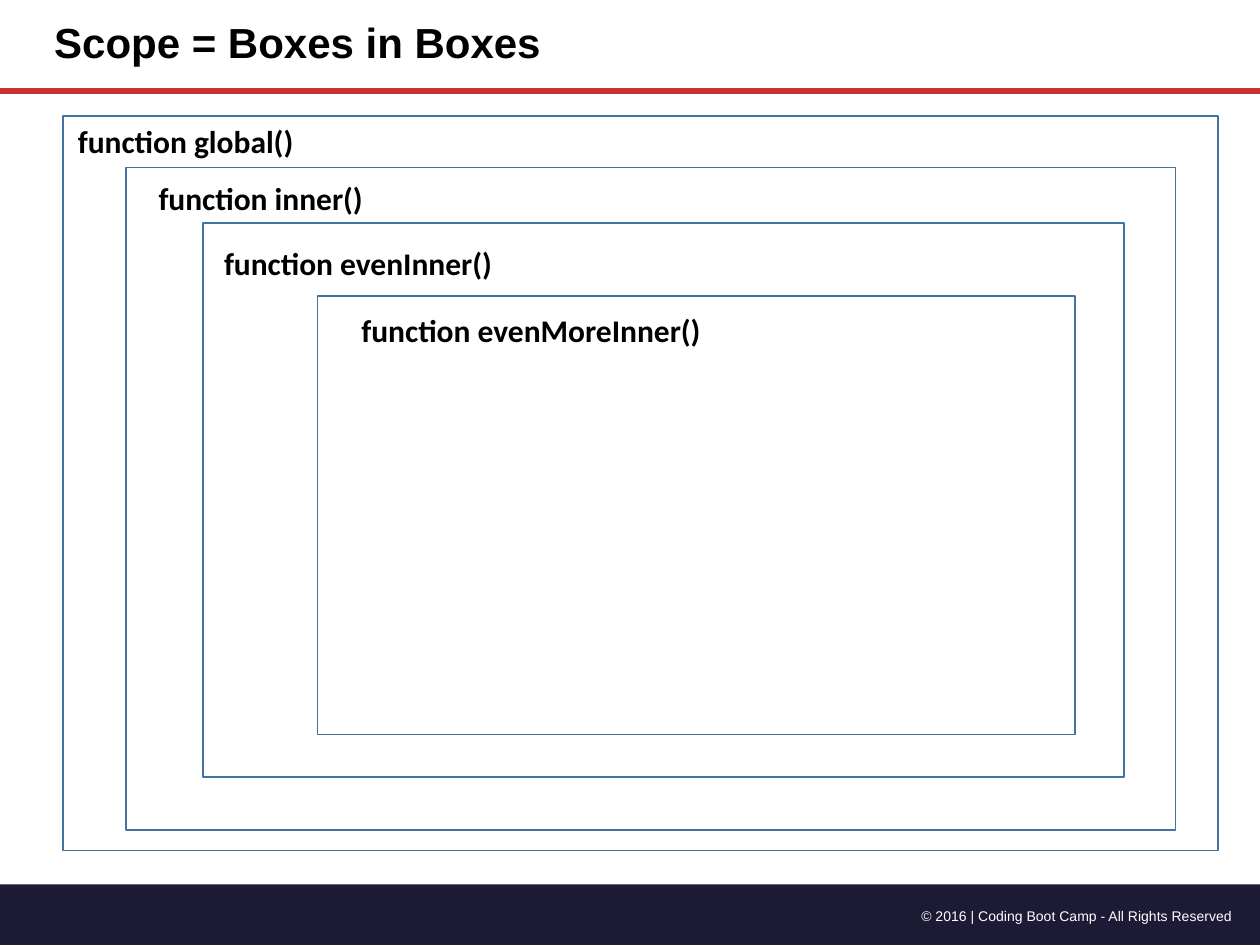
from lxml import etree
from pptx import Presentation
from pptx import util as u
from pptx.dml.color import RGBColor
from pptx.enum import shapes, text
from pptx.oxml import ns

WIDTH, HEIGHT = 10, 7.5
TITLE_BOX = (0.33, 0, 5.98, 0.72)
FOOTER_BOX = (0, 7.02, 10.01, 0.5)

# Each scope: its label, its box, and the label's offset within the box
SCOPES = [
    ("function global()", (0.5, 0.92, 9.17, 5.83), (0.02, 0)),
    ("function inner()", (1, 1.33, 8.33, 5.26), (0.16, 0.04)),
    ("function evenInner()", (1.61, 1.77, 7.31, 4.4), (0.07, 0.12)),
    ("function evenMoreInner()", (2.52, 2.35, 6.01, 3.48), (0.25, 0.07)),
]


def color(value):
    return RGBColor.from_string(value)


def inches(box):
    return [u.Inches(length) for length in box]


def write(shape, content, hex_color, alignment=text.PP_ALIGN.LEFT, **font_values):
    shape.text_frame.text = content
    paragraph = shape.text_frame.paragraphs[0]
    paragraph.alignment = alignment
    font = paragraph.runs[0].font
    for name, value in font_values.items():
        setattr(font, name, value)
    font.color.rgb = color(hex_color)
    return paragraph


def add_box(slide, box, fill, line=None):
    shape = slide.shapes.add_shape(shapes.MSO_SHAPE.RECTANGLE, *inches(box))
    shape.shadow.inherit = False
    shape.fill.solid()
    shape.fill.fore_color.rgb = color(fill)
    if line:
        shape.line.color.rgb = color(line)
        shape.line.width = u.Pt(1)
    else:
        shape.line.fill.background()


def add_header(slide, box):
    """Place the title in the box and a rule across the slide below it."""
    left, top, width, height = inches(box)
    title = slide.shapes.title
    placement = {"left": left, "top": top, "width": width, "height": height}
    for name, value in placement.items():
        setattr(title, name, value)
    paragraph = write(title, "Scope = Boxes in Boxes", "000000",
                      name="Arial", size=u.Pt(24), bold=True)
    paragraph.line_spacing = 0.9
    title.text_frame.vertical_anchor = text.MSO_ANCHOR.MIDDLE
    title.text_frame.auto_size = text.MSO_AUTO_SIZE.NONE

    bottom = top + height
    rule = slide.shapes.add_connector(
        shapes.MSO_CONNECTOR.STRAIGHT, 0, bottom, u.Inches(WIDTH), bottom)
    rule.line.color.rgb = color("C83232")
    rule.line.width = u.Pt(3.25)
    etree.SubElement(rule._element.spPr, ns.qn("a:effectLst"))


def add_footer(slide, box):
    left, top, width, height = box
    add_box(slide, box, "1D1A36")
    notice_box = (left + width - 3.18, top + 0.13, 3.05, 0.24)
    notice = slide.shapes.add_textbox(*inches(notice_box))
    notice.text_frame.word_wrap = True
    write(notice, "© 2016 | Coding Boot Camp - All Rights Reserved", "FFFFFF",
          text.PP_ALIGN.RIGHT, name="Arial", size=u.Pt(8))


def add_scope(slide, label, box, offset):
    left, top, width, _ = box
    add_box(slide, box, "FFFFFF", "43739E")
    label_box = (left + offset[0], top + offset[1], width / 2, 0.4)
    caption = slide.shapes.add_textbox(*inches(label_box))
    caption.text_frame.word_wrap = True
    write(caption, label, "000000", name="Calibri", size=u.Pt(18), bold=True)


def main():
    presentation = Presentation()
    presentation.slide_width, presentation.slide_height = inches((WIDTH, HEIGHT))
    title_only = presentation.slide_layouts[5]
    slide = presentation.slides.add_slide(title_only)
    add_footer(slide, FOOTER_BOX)
    add_header(slide, TITLE_BOX)
    for scope in SCOPES:
        add_scope(slide, *scope)
    presentation.save("out.pptx")


if __name__ == "__main__":
    main()
